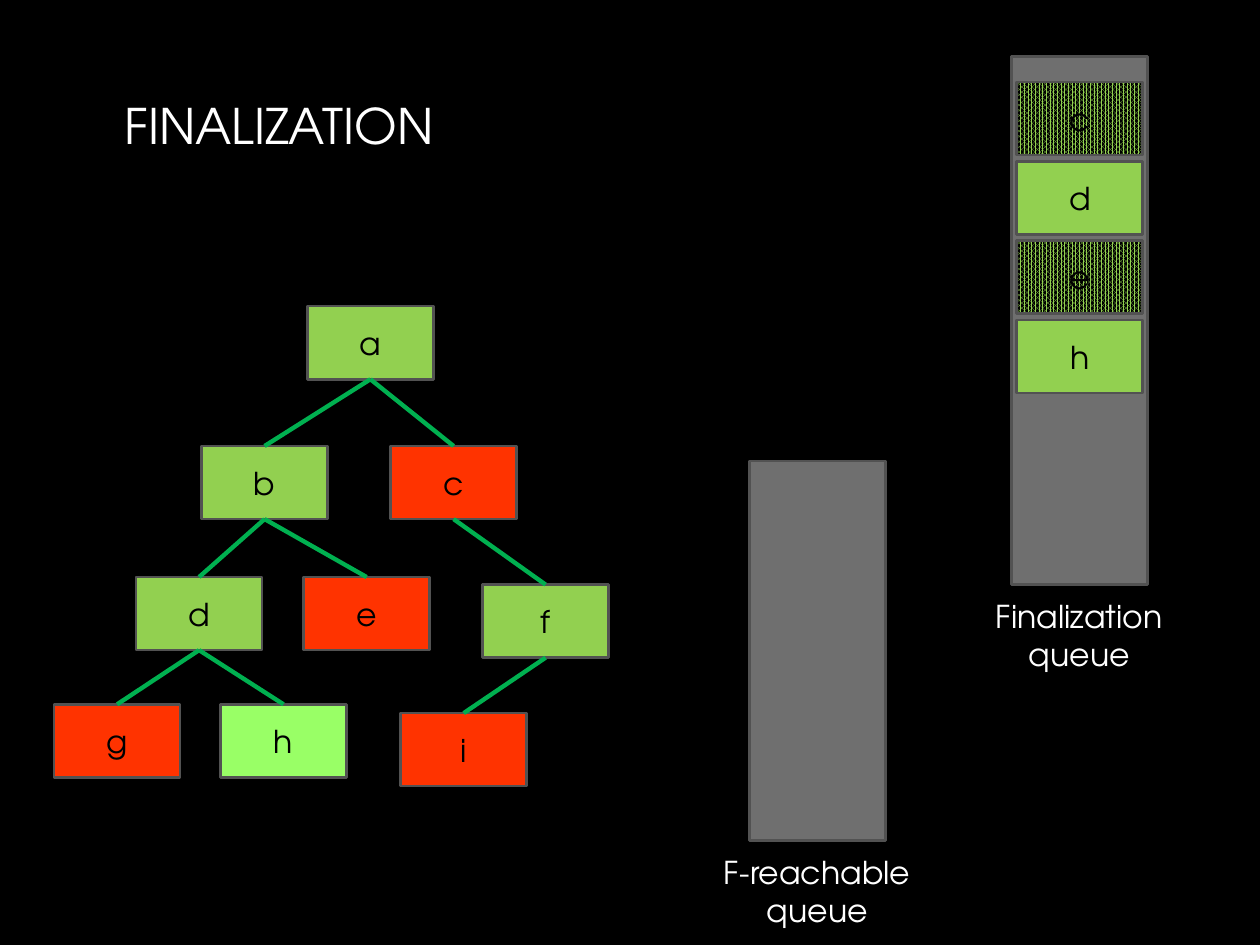
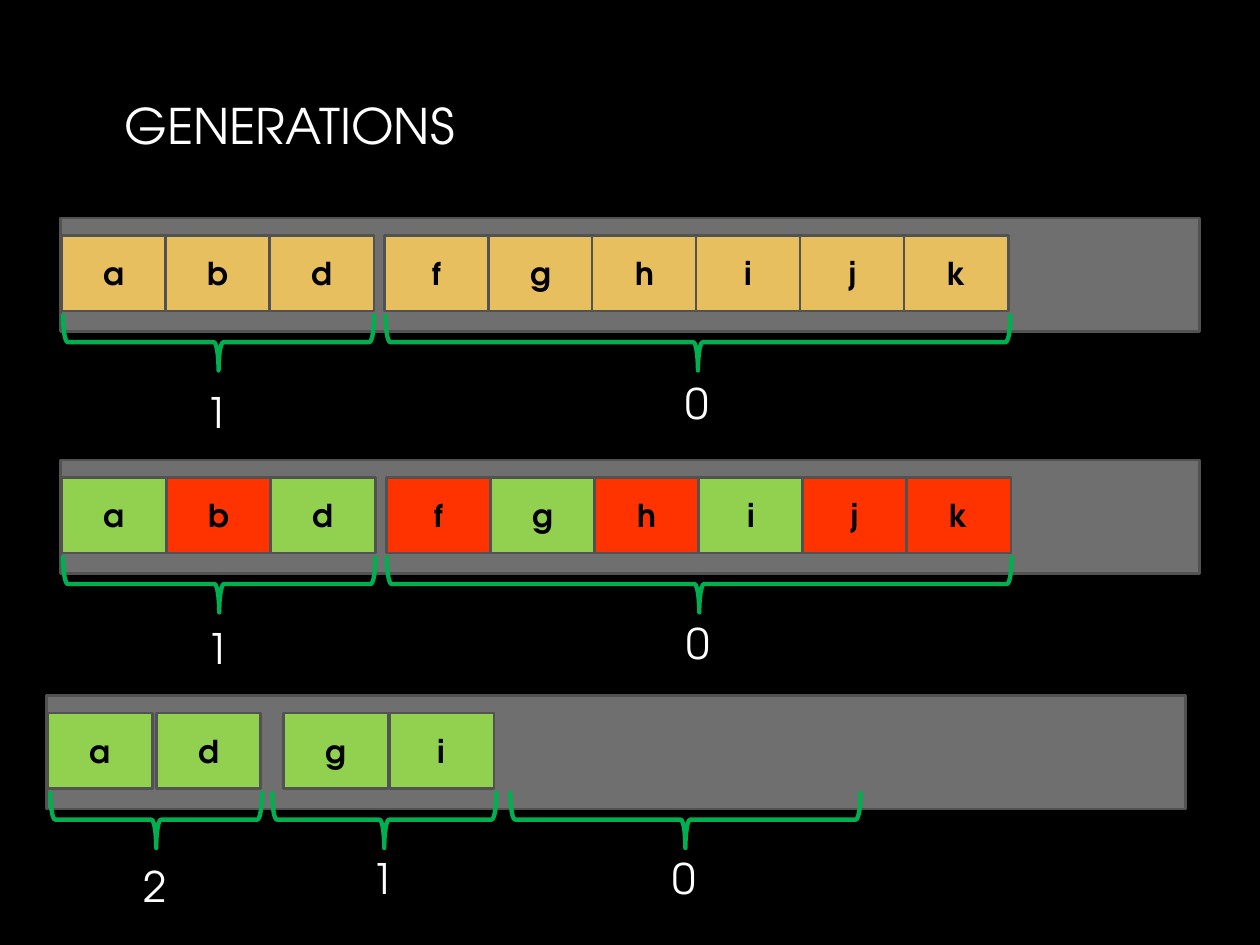
from lxml import etree
from pptx import Presentation
from pptx.dml.color import RGBColor
from pptx.enum import dml, shapes, text
from pptx.oxml.ns import qn
from pptx.util import Inches, Pt

FONT = "TeX Gyre Adventor"
BLACK, WHITE, GRAY, EDGE = "000000", "FFFFFF", "6F6F6F", "525252"
GREEN, LIME, RED, GOLD, LINK = "92D050", "99FF66", "FF3300", "E7BF5F", "00B050"

NODE = (1, 0.58)
NODES = {
    "a": (2.44, 2.43, GREEN),
    "b": (1.6, 3.54, GREEN),
    "c": (3.1, 3.54, RED),
    "d": (1.08, 4.58, GREEN),
    "e": (2.41, 4.58, RED),
    "f": (3.83, 4.64, GREEN),
    "g": (0.43, 5.59, RED),
    "h": (1.75, 5.59, LIME),
    "i": (3.18, 5.66, RED),
}
LINKS = ["ab", "ac", "bd", "be", "dg", "dh", "fi", "cf"]
QUEUES = [
    ("Finalization queue", 8.03, 0.45, 4.19),
    ("F-reachable queue", 5.95, 3.66, 3.01),
]
QUEUED = [("c", True), ("d", False), ("e", True), ("h", False)]

CELL = (0.83, 0.6)
DEEP = 0.45
# each span: generation, cells, cell left, step, brace left, brace width, number top
HEAPS = [
    (0.48, 1.73, GOLD, "", [
        ("1", "abd", 0.49, 0.825, 0.5, 2.47, 3.02),
        ("0", "fghijk", 3.05, 0.825, 3.06, 4.96, 2.95),
    ]),
    (0.48, 3.65, GREEN, "bfhjk", [
        ("1", "abd", 0.49, 0.83, 0.5, 2.48, 4.89),
        ("0", "fghijk", 3.07, 0.825, 3.07, 4.96, 4.85),
    ]),
    (0.37, 5.52, GREEN, "", [
        ("2", "ad", 0.38, 0.86, 0.4, 1.68, 6.78),
        ("1", "gi", 2.25, 0.84, 2.16, 1.78, 6.72),
        ("0", "", 0, 0, 4.05, 2.78, 6.72),
    ]),
]


def color(code):
    return RGBColor.from_string(code)


def write(shape, words, size, ink, align=None, bold=False):
    para = shape.text_frame.paragraphs[0]
    para.text = words
    para.alignment = align
    font = para.runs[0].font
    font.name, font.size, font.bold = FONT, Pt(size), bold
    font.color.rgb = color(ink)


def label(host, words, left, top, wide, high, size, align=None, wrap=True):
    box = host.add_textbox(*map(Inches, (left, top, wide, high)))
    box.text_frame.word_wrap = wrap
    write(box, words, size, WHITE, align)
    return box


def block(host, left, top, wide, high, fill, words="", bold=False):
    box = host.add_shape(shapes.MSO_SHAPE.RECTANGLE,
                         *map(Inches, (left, top, wide, high)))
    box.shadow.inherit = False
    box.fill.solid()
    box.fill.fore_color.rgb = color(fill)
    box.line.color.rgb = color(EDGE)
    box.line.width = Pt(1.5)
    if words:
        box.text_frame.vertical_anchor = text.MSO_ANCHOR.MIDDLE
        write(box, words, 18, BLACK, text.PP_ALIGN.CENTER, bold)
    return box


def hatch(box):
    box.fill.patterned()
    box.fill.pattern = dml.MSO_PATTERN.PERCENT_80
    box.fill.fore_color.rgb = color(GREEN)
    box.fill.back_color.rgb = color(BLACK)


def link(host, start, end):
    line = host.add_connector(shapes.MSO_CONNECTOR.STRAIGHT, 0, 0, 0, 0)
    line.begin_connect(start, 2)
    line.end_connect(end, 0)
    line.line.color.rgb = color(LINK)
    line.line.width = Pt(2.5)
    etree.SubElement(line._element.spPr, qn("a:effectLst"))


def brace(host, left, top, wide):
    mid_x, mid_y = left + wide / 2, top + DEEP / 2
    mark = host.add_shape(
        shapes.MSO_SHAPE.LEFT_BRACE,
        *map(Inches, (mid_x - DEEP / 2, mid_y - wide / 2, DEEP, wide)))
    mark.rotation = 270
    mark.shadow.inherit = False
    mark.fill.background()
    mark.line.color.rgb = color(LINK)
    mark.line.width = Pt(2.5)


def page(deck, title):
    slide = deck.slides.add_slide(deck.slide_layouts[6])
    slide.background.fill.solid()
    slide.background.fill.fore_color.rgb = color(BLACK)
    box = label(slide.shapes, title, 0.89, 0.65, 8.21, 0.68, 28)
    box.text_frame.vertical_anchor = text.MSO_ANCHOR.MIDDLE
    return slide.shapes


def draw_tree(host):
    nodes = {name: block(host, left, top, *NODE, fill, name)
             for name, (left, top, fill) in NODES.items()}
    for start, end in LINKS:
        link(host, nodes[start], nodes[end])


def draw_queues(host):
    for name, left, top, high in QUEUES:
        block(host, left, top, 1.08, high, GRAY)
        label(host, name, left - 0.31, top + high + 0.05, 1.69, 0.71, 18,
              text.PP_ALIGN.CENTER)
    for row, (name, moved) in enumerate(QUEUED):
        box = block(host, 8.07, 0.65 + 0.63 * row, *NODE, GREEN, name)
        if moved:
            hatch(box)


def draw_heap(host, left, top, live, dead, spans):
    block(host, left, top, 9.04, 0.9, GRAY)
    for number, cells, start, step, edge, wide, low in spans:
        for col, name in enumerate(cells):
            fill = RED if name in dead else live
            block(host, start + step * col, top + 0.14, *CELL, fill, name, True)
        brace(host, edge, top + 0.76, wide)
        label(host, number, edge + wide / 2 - 0.2, low, 0.39, 0.5, 24, wrap=False)


def main():
    deck = Presentation()
    deck.slide_width, deck.slide_height = Inches(10), Inches(7.5)
    host = page(deck, "FINALIZATION")
    draw_tree(host)
    draw_queues(host)
    host = page(deck, "GENERATIONS")
    for heap in HEAPS:
        draw_heap(host.add_group_shape().shapes, *heap)
    deck.save("out.pptx")


if __name__ == "__main__":
    main()
